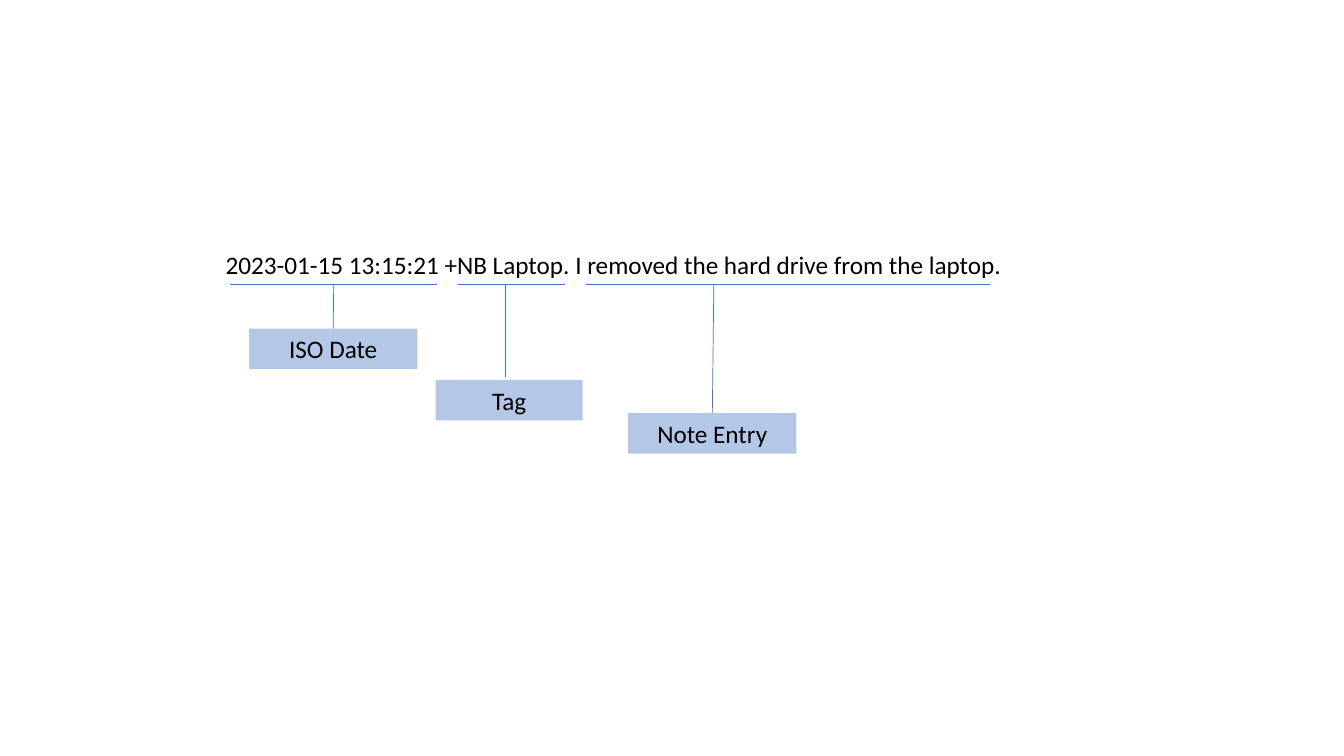
from pptx import Presentation
from pptx.dml.color import RGBColor
from pptx.enum.shapes import MSO_CONNECTOR, MSO_SHAPE
from pptx.enum.text import MSO_ANCHOR, MSO_AUTO_SIZE, PP_ALIGN
from pptx.oxml.ns import qn
from pptx.util import Inches, Pt
from lxml import etree

RECT = MSO_SHAPE.RECTANGLE
STRAIGHT = MSO_CONNECTOR.STRAIGHT
LEFT, CENTER = PP_ALIGN.LEFT, PP_ALIGN.CENTER
TOP = MSO_ANCHOR.TOP
GROW = MSO_AUTO_SIZE.SHAPE_TO_FIT_TEXT
TOP_SIDE = 0

NOTE = "2023-01-15 13:15:21 +NB Laptop. I removed the hard drive from the laptop."
UNDERLINE_Y = 2.82
ROW_H = 0.4

# label, box (left, top, width), underline (from, to), leader (from x, to x, to y), joined
FIELDS = [
    ("ISO Date", (2.47, 3.26, 1.67), (2.28, 4.33), (3.31, 3.31, 3.26), True),
    ("Tag", (4.32, 3.77, 1.46), (4.54, 5.6), (5.01, 5.01, 3.74), False),
    ("Note Entry", (6.23, 4.1, 1.67), (5.81, 9.82), (7.08, 7.06, 4.1), True),
]


def rgb(value):
    return RGBColor.from_string(value)


class Diagram:
    font, size = "Calibri", 18
    text_color, box_color, line_color = "000000", "B4C7E7", "4472C4"
    line_width = 0.5

    def __init__(self, slide):
        self.s = slide

    def set_text(self, sp, text, align):
        tf = sp.text_frame
        tf.word_wrap = True
        tf.auto_size = GROW
        tf.vertical_anchor = TOP
        p = tf.paragraphs[0]
        p.alignment = align
        r = p.add_run()
        r.text = text
        r.font.name = self.font
        r.font.size = Pt(self.size)
        r.font.color.rgb = rgb(self.text_color)

    def text(self, x, y, w, h, text):
        sp = self.s.shapes.add_textbox(Inches(x), Inches(y), Inches(w), Inches(h))
        self.set_text(sp, text, LEFT)

    def box(self, x, y, w, h, text):
        sp = self.s.shapes.add_shape(RECT, Inches(x), Inches(y), Inches(w), Inches(h))
        sp.shadow.inherit = False
        sp.fill.solid()
        sp.fill.fore_color.rgb = rgb(self.box_color)
        sp.line.fill.background()
        self.set_text(sp, text, CENTER)
        return sp

    def line(self, x1, y1, x2, y2, target=None):
        """Draw a line, joined to the top of target if one is given."""
        c = self.s.shapes.add_connector(
            STRAIGHT, Inches(x1), Inches(y1), Inches(x2), Inches(y2))
        c.line.color.rgb = rgb(self.line_color)
        c.line.width = Pt(self.line_width)
        etree.SubElement(c._element.spPr, qn("a:effectLst"))
        if target is not None:
            c.end_connect(target, TOP_SIDE)


def main():
    prs = Presentation()
    prs.slide_width, prs.slide_height = Inches(13.33), Inches(7.5)
    diagram = Diagram(prs.slides.add_slide(prs.slide_layouts[6]))

    diagram.text(2.14, 2.42, 9.37, ROW_H, NOTE)
    for label, (x, y, w), (start, end), (x1, x2, y2), joined in FIELDS:
        sp = diagram.box(x, y, w, ROW_H, label)
        diagram.line(x1, UNDERLINE_Y, x2, y2, sp if joined else None)
        diagram.line(start, UNDERLINE_Y, end, UNDERLINE_Y)

    prs.save("out.pptx")


if __name__ == "__main__":
    main()
